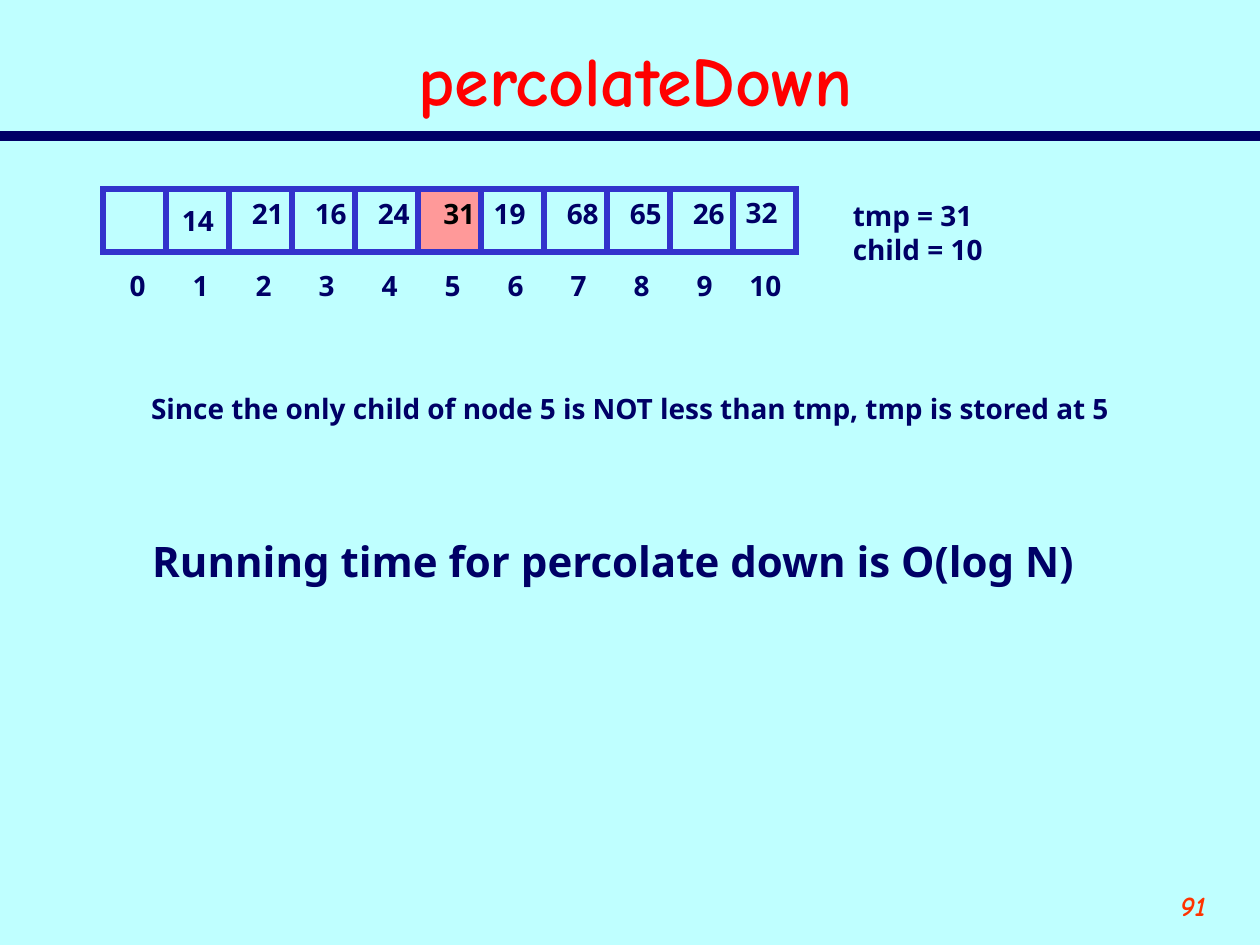
from lxml.etree import SubElement
from pptx import Presentation
from pptx.dml.color import RGBColor
from pptx.enum.shapes import MSO_CONNECTOR, MSO_SHAPE
from pptx.enum.text import MSO_ANCHOR, MSO_AUTO_SIZE, PP_ALIGN
from pptx.oxml.ns import qn
from pptx.util import Inches, Pt

NAVY = "000066"
BLUE = "3333CC"
PINK = "FF9999"
CELL = 0.5
TWO_DIGITS = 0.47
VALUES = ["", "14", "21", "16", "24", "31", "19", "68", "65", "26", "32"]
CURRENT = 5
CENTERED = 1
VALUE_SHIFT = {5: 0.1, 6: 0, 10: 0}


def color(value):
    return RGBColor.from_string(value)


def write(tf, text, size=16, font="Noto Sans", fill=NAVY, italic=False,
          align=PP_ALIGN.LEFT, anchor=MSO_ANCHOR.TOP, wrap=False):
    tf.word_wrap = wrap
    tf.vertical_anchor = anchor
    for i, line in enumerate(text.split("\n")):
        p = tf.paragraphs[0] if i == 0 else tf.add_paragraph()
        p.alignment = align
        r = p.add_run()
        r.text = line
        r.font.size = Pt(size)
        r.font.name = font
        r.font.bold = True
        r.font.italic = italic
        r.font.color.rgb = color(fill)


def add_text(s, box, text, grow=True, **fmt):
    tf = s.shapes.add_textbox(*map(Inches, box)).text_frame
    write(tf, text, **fmt)
    tf.auto_size = MSO_AUTO_SIZE.SHAPE_TO_FIT_TEXT if grow else MSO_AUTO_SIZE.NONE


def add_header(s, left, top, width, height):
    rule_y = Inches(1.08)
    rule = s.shapes.add_connector(MSO_CONNECTOR.STRAIGHT, 0, rule_y, Inches(10), rule_y)
    rule.line.color.rgb = color(NAVY)
    rule.line.width = Pt(6)
    SubElement(rule._element.spPr, qn("a:effectLst"))
    add_text(s, (left, top, width, height), "percolateDown", grow=False, size=40,
             font="Comic Neue", fill="FF0000", align=PP_ALIGN.CENTER,
             anchor=MSO_ANCHOR.MIDDLE, wrap=True)


def add_cell(s, left, top, current):
    cell = s.shapes.add_shape(MSO_SHAPE.RECTANGLE, *map(Inches, (left, top, CELL, CELL)))
    cell.shadow.inherit = False
    cell.line.color.rgb = color(BLUE)
    cell.line.width = Pt(3.5)
    SubElement(cell._element.spPr.find(qn("a:ln")), qn("a:miter"), lim="800000")
    if current:
        cell.fill.solid()
        cell.fill.fore_color.rgb = color(PINK)
    else:
        cell.fill.background()
    return cell


def add_array(s, left, top):
    lefts = [left + i * CELL for i in range(len(VALUES))]
    cells = [add_cell(s, x, top, i == CURRENT) for i, x in enumerate(lefts)]
    write(cells[CENTERED].text_frame, VALUES[CENTERED],
          align=PP_ALIGN.CENTER, anchor=MSO_ANCHOR.MIDDLE)
    for i, x in enumerate(lefts):
        shift, width = (0.11, 0.32) if i < 10 else (0.03, TWO_DIGITS)
        add_text(s, (x + shift, top + 0.58, width, 0.37), str(i))
    for i, x in enumerate(lefts):
        if VALUES[i] and i != CENTERED:
            y = top if i == len(VALUES) - 1 else top + 0.01
            add_text(s, (x + VALUE_SHIFT.get(i, 0.08), y, TWO_DIGITS, 0.37), VALUES[i],
                     fill="000000" if i == CURRENT else NAVY)


def add_notes(s, left, top):
    add_text(s, (left, top, 7.81, 0.37),
             "Since the only child of node 5 is NOT less than tmp, tmp is stored at 5")
    add_text(s, (left + 0.01, top + 1.14, 7.52, 0.5),
             "Running time for percolate down is O(log N)", size=24)


def main():
    prs = Presentation()
    prs.slide_width, prs.slide_height = Inches(10), Inches(7.5)
    s = prs.slides.add_slide(prs.slide_layouts[6])
    s.background.fill.solid()
    s.background.fill.fore_color.rgb = color("BFFFFF")
    add_header(s, 0.42, 0.25, 9.25, 0.75)
    add_array(s, 0.82, 1.5)
    add_text(s, (6.67, 1.53, 1.23, 0.64), "tmp = 31\nchild = 10")
    add_notes(s, 1.1, 3.06)
    add_text(s, (8.67, 7, 1, 0.5), "91", grow=False, font="Comic Neue", fill="FF3300",
             italic=True, align=PP_ALIGN.RIGHT, wrap=True)
    prs.save("out.pptx")


if __name__ == "__main__":
    main()
